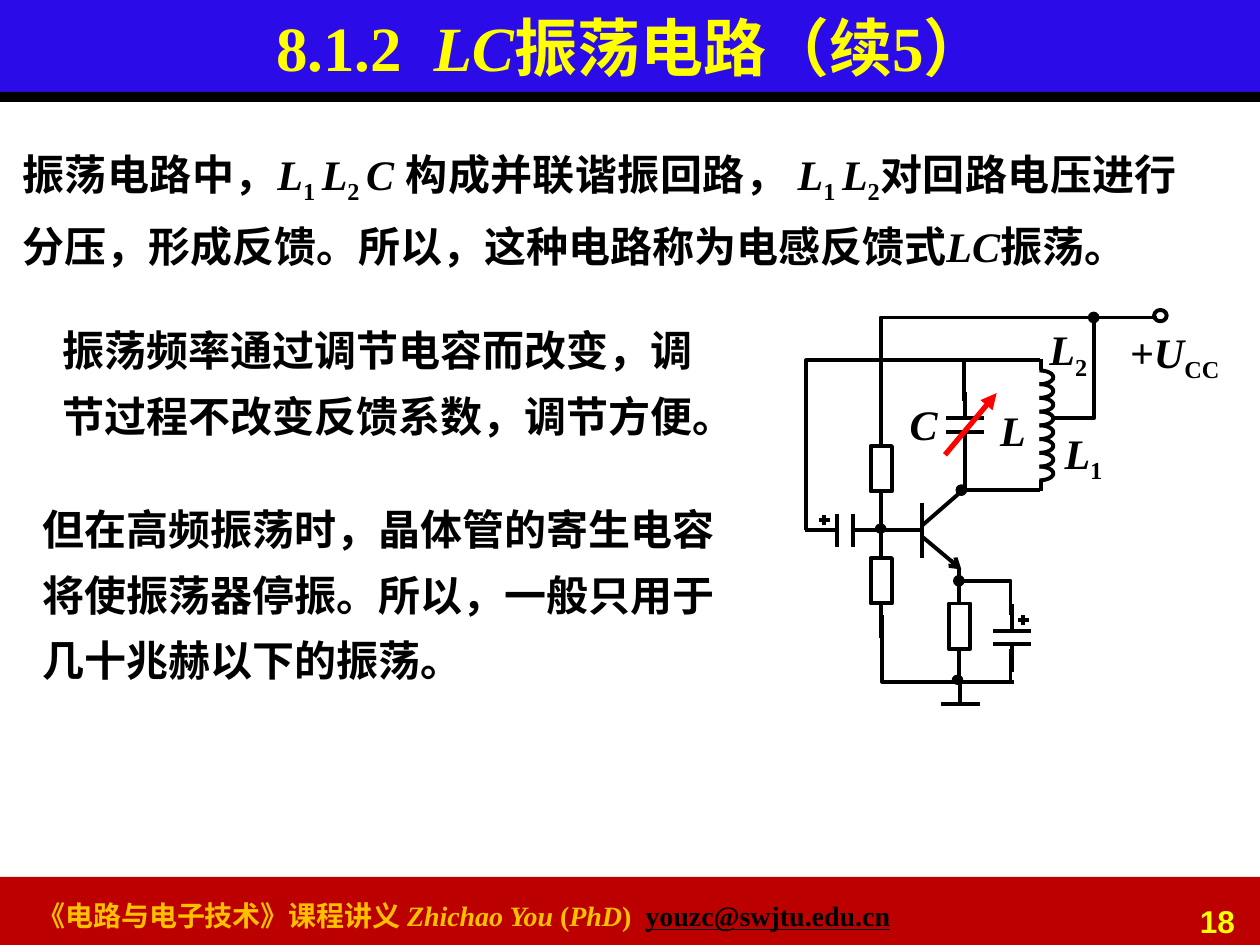
from math import cos, pi, sin
from lxml.etree import SubElement
from pptx import Presentation
from pptx.dml.color import RGBColor
from pptx.enum.shapes import MSO_CONNECTOR, MSO_SHAPE
from pptx.enum.text import MSO_ANCHOR, MSO_AUTO_SIZE, PP_ALIGN
from pptx.oxml.ns import qn
from pptx.util import Inches, Pt

presentation = Presentation()
presentation.slide_width = Inches(10)
presentation.slide_height = Inches(7.5)
column = presentation.slide_width / 100
row = presentation.slide_height / 75
slide = presentation.slides.add_slide(presentation.slide_layouts[5])
shapes = slide.shapes
color_of = RGBColor.from_string

ITALIC = {"italic": True}
LOWER = {"lower": True}


def write_text(shape, *pieces, size=24, color="000000", font="Times New Roman",
               align=PP_ALIGN.LEFT, spacing=None, wrap=True,
               fit=MSO_AUTO_SIZE.SHAPE_TO_FIT_TEXT, anchor=MSO_ANCHOR.TOP):
    frame = shape.text_frame
    frame.word_wrap = wrap
    frame.auto_size = fit
    frame.vertical_anchor = anchor
    paragraph = frame.paragraphs[0]
    paragraph.alignment = align
    paragraph.line_spacing = spacing
    for text, style in pieces:
        run = paragraph.add_run()
        run.text = text
        run.font.name = font
        run.font.size = Pt(size)
        run.font.bold = True
        run.font.italic = style.get("italic", False)
        run.font.underline = style.get("underline", False)
        run.font.color.rgb = color_of(style.get("color", color))
        if style.get("lower"):
            run.font._element.set("baseline", "-25000")


def draw_outline(shape, color="000000", width=2.25, head=None, tail=None):
    shape.line.color.rgb = color_of(color)
    shape.line.width = Pt(width)
    outline = shape.line._get_or_add_ln()
    for tag, kind in (("a:headEnd", head), ("a:tailEnd", tail)):
        if kind:
            SubElement(outline, qn(tag)).set("type", kind)
    SubElement(shape._element.spPr, qn("a:effectLst"))


bars = [
    (-0.2, 69.6, 100.4, 5.6, "BC0000"),
    (-0.2, 0, 100.4, 7.6, "2B0CE8"),
    (-0.1, 7.3, 100.2, 0.8, "000000"),
]
for left, top, width, height, color in bars:
    bar = shapes.add_shape(MSO_SHAPE.RECTANGLE, int(left * column), int(top * row),
                           int(width * column), int(height * row))
    bar.shadow.inherit = False
    bar.fill.solid()
    bar.fill.fore_color.rgb = color_of(color)
    bar.line.fill.background()

title = shapes.title
title.left, title.top = 0, 0
title.width, title.height = int(100.2 * column), int(7.3 * row)
shapes._spTree.append(title._element)
write_text(title, ("8.1.2  ", {}), ("LC", ITALIC), ("振荡电路（续5）", {}),
           size=36, color="FFFF00", align=PP_ALIGN.CENTER,
           fit=MSO_AUTO_SIZE.NONE, anchor=MSO_ANCHOR.MIDDLE)

wires = [
    [(64, 42.1), (64, 28.6), (82.5, 28.6)],
    [(69.9, 33.2), (69.9, 25.2), (91.8, 25.2)],
    [(70, 48.8), (70, 54.1), (80.5, 54.1)],
    [(80.2, 48.8), (80.2, 46.1), (76.1, 46.1)],
    [(86.8, 25.2), (86.8, 33.2), (83.7, 33.2)],
]
wire_ends = [{}, {}, {}, {"tail": "oval"}, {"head": "oval"}]
coil_top, coil_pitch, coil_loops, steps = 29.4, 1.09, 8, 12
for loop in range(coil_loops):
    top = coil_top + loop * coil_pitch
    angles = [pi * step / steps for step in range(steps + 1)]
    wires.append([(82.5 + 1.1 * sin(angle), top + coil_pitch * (1 - cos(angle)) / 2)
                  for angle in angles])
    wire_ends.append({})
for points, ends in zip(wires, wire_ends):
    grid_points = [(int(x * column), int(y * row)) for x, y in points]
    builder = shapes.build_freeform(*grid_points[0])
    builder.add_line_segments(grid_points[1:], close=False)
    wire = builder.convert_to_shape()
    wire.fill.background()
    draw_outline(wire, **ends)

transistor = [
    (73.2, 39.9, 73.2, 44.3), (73.2, 41.7, 76.3, 39), (70.2, 42.1, 73.2, 42.1),
]
capacitors = [
    (78.8, 50.1, 81.8, 50.1), (78.8, 51.1, 81.8, 51.1),
    (80.3, 50.1, 80.3, 47.9), (80.3, 53.3, 80.3, 51.1),
    (80.8, 49.2, 81.7, 49.2), (81.2, 48.8, 81.2, 49.6),
    (66.4, 43.4, 66.4, 40.8), (67.7, 43.4, 67.7, 40.8),
    (66.4, 42.1, 63.9, 42.1), (70.2, 42.1, 67.7, 42.1),
    (65.4, 41.7, 65.4, 40.9), (65, 41.3, 65.9, 41.3),
    (75.1, 33.2, 78.1, 33.2), (75.1, 34.3, 78.1, 34.3),
    (76.6, 33.2, 76.6, 31.1), (76.6, 36.5, 76.6, 34.3),
]
leads = [
    (69.9, 32.8, 69.9, 35.4), (69.9, 39, 69.9, 44.3), (69.9, 47.9, 69.9, 50.6),
    (76.1, 45.2, 76.1, 47.9), (76.1, 51.5, 76.1, 54.1),
    (74.7, 55.9, 77.8, 55.9), (76.2, 55.9, 76.2, 54.1),
    (82.6, 38.1, 82.6, 39), (82.6, 28.5, 82.6, 29.4),
    (80.2, 51.5, 80.2, 54.1), (76.6, 35.5, 76.6, 38.7), (76.5, 31.8, 76.5, 28.6),
]
lines = [(ends, {}) for ends in transistor + capacitors + leads]
lines += [
    ((73.2, 42.6, 76.3, 45.2), {"tail": "arrow"}),
    ((82.5, 38.9, 76.3, 38.9), {"tail": "oval"}),
    ((75, 36.1, 79.1, 31.2), {"tail": "triangle", "color": "FF0000", "width": 3}),
]
for (start_x, start_y, end_x, end_y), style in lines:
    line = shapes.add_connector(MSO_CONNECTOR.STRAIGHT,
                                int(start_x * column), int(start_y * row),
                                int(end_x * column), int(end_y * row))
    draw_outline(line, **style)

parts = [(MSO_SHAPE.RECTANGLE, left, top, 1.7, 3.6, None)
         for left, top in ((69.1, 35.4), (75.3, 47.9), (69.1, 44.3))]
parts += [
    (MSO_SHAPE.OVAL, 91.6, 24.6, 1, 0.9, None),
    (MSO_SHAPE.OVAL, 69.6, 41.7, 0.6, 0.5, "000000"),
    (MSO_SHAPE.OVAL, 75.7, 53.7, 0.6, 0.5, "000000"),
]
for kind, left, top, width, height, fill in parts:
    part = shapes.add_shape(kind, int(left * column), int(top * row),
                            int(width * column), int(height * row))
    if fill:
        part.fill.solid()
        part.fill.fore_color.rgb = color_of(fill)
    else:
        part.fill.background()
    draw_outline(part)

body = {"spacing": 1.3}
label = {"wrap": False}
texts = [
    ((2, 70.8, 88.2, 3.7),
     [("《电路与电子技术》课程讲义 ", {}), ("Zhichao You ", ITALIC), ("(", {}),
      ("PhD", ITALIC), (")  ", {}),
      ("youzc@swjtu.edu.cn", {"color": "000000", "underline": True})],
     {"size": 16, "color": "FFC000"}),
    ((89.6, 71.1, 9.4, 3.1), [("18", {})],
     {"size": 18, "color": "FFFF00", "font": "Arial", "align": PP_ALIGN.RIGHT,
      "fit": MSO_AUTO_SIZE.NONE}),
    ((0.8, 9.9, 93.6, 11.5),
     [("振荡电路中，", {}), ("L", ITALIC), ("1 ", LOWER), ("L", ITALIC), ("2 ", LOWER),
      ("C ", ITALIC), ("构成并联谐振回路， ", {}), ("L", ITALIC), ("1 ", LOWER),
      ("L", ITALIC), ("2", LOWER),
      ("对回路电压进行分压，形成反馈。所以，这种电路称为电感反馈式", {}),
      ("LC", ITALIC), ("振荡。", {})],
     {**body, "align": PP_ALIGN.JUSTIFY}),
    ((4, 24.1, 54.4, 11.5),
     [("振荡频率通过调节电容而改变，调节过程不改变反馈系数，调节方便。", {})], body),
    ((2.4, 38.3, 56.8, 16.8),
     [("但在高频振荡时，晶体管的寄生电容将使振荡器停振。所以，一般只用于几十兆赫以下的振荡。", {})],
     body),
    ((71.2, 31.1, 4.2, 5), [("C", ITALIC)], label),
    ((78.4, 31.6, 4, 5), [("L", ITALIC)], label),
    ((88.7, 25.4, 9.6, 5), [("+U", ITALIC), ("CC", LOWER)], label),
    ((83.5, 33.4, 5.2, 5), [("L", ITALIC), ("1", LOWER)], label),
    ((82.3, 25.2, 5.1, 5), [("L", ITALIC), ("2", LOWER)], label),
]
for (left, top, width, height), pieces, style in texts:
    box = shapes.add_textbox(int(left * column), int(top * row),
                             int(width * column), int(height * row))
    write_text(box, *pieces, **style)

presentation.save("out.pptx")
